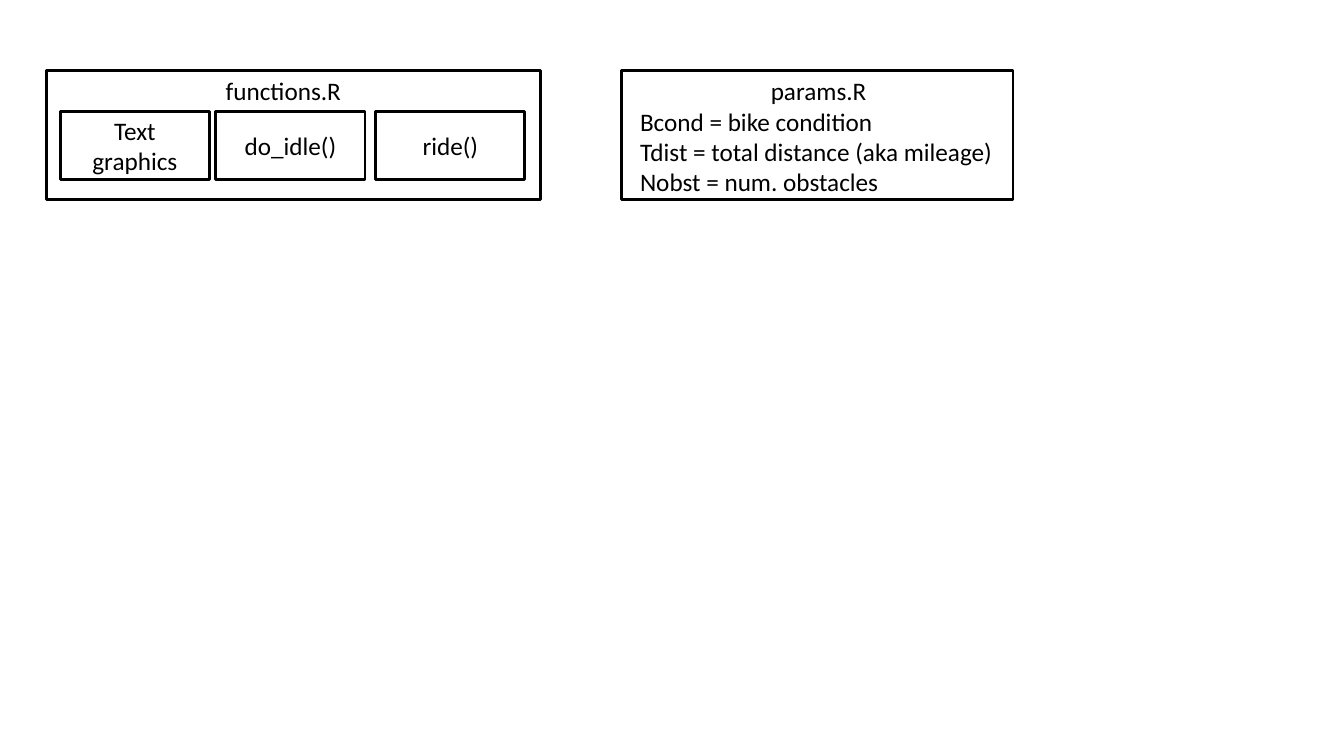
"""Build a slide outlining the contents of two R source files."""
from dataclasses import dataclass

from pptx import Presentation
from pptx.dml.color import RGBColor
from pptx.enum.shapes import MSO_SHAPE
from pptx.enum.text import MSO_ANCHOR, MSO_AUTO_SIZE, PP_ALIGN
from pptx.util import Cm, Pt

RECTANGLE = MSO_SHAPE.RECTANGLE
MIDDLE = MSO_ANCHOR.MIDDLE
GROW = MSO_AUTO_SIZE.SHAPE_TO_FIT_TEXT
LEFT, CENTER = PP_ALIGN.LEFT, PP_ALIGN.CENTER


@dataclass(frozen=True)
class Theme:
    ink: RGBColor = RGBColor(0, 0, 0)
    font: str = "Calibri"
    size: Pt = Pt(18)
    line: Pt = Pt(2)


THEME = Theme()


def add_frame(group, left, top, width, height):
    """Add an unfilled, outlined rectangle measured in centimetres."""
    box = group.shapes.add_shape(RECTANGLE, Cm(left), Cm(top), Cm(width), Cm(height))
    box.shadow.inherit = False
    box.fill.background()
    box.line.color.rgb = THEME.ink
    box.line.width = THEME.line
    return box


def write_lines(box, lines):
    """Write (text, alignment) pairs as paragraphs of one run each."""
    frame = box.text_frame
    for index, (text, alignment) in enumerate(lines):
        para = frame.add_paragraph() if index else frame.paragraphs[0]
        para.alignment = alignment
        span = para.add_run()
        span.text = text
        span.font.name = THEME.font
        span.font.size = THEME.size
        span.font.color.rgb = THEME.ink


deck = Presentation()
deck.slide_width, deck.slide_height = Cm(33.87), Cm(19.05)
page = deck.slides.add_slide(deck.slide_layouts[6])

FILE_TOP, FILE_HEIGHT = 1.78, 3.25
functions_file = page.shapes.add_group_shape()
params_file = page.shapes.add_group_shape()

add_frame(functions_file, 1.17, FILE_TOP, 12.45, FILE_HEIGHT)
add_frame(params_file, 15.67, FILE_TOP, 9.86, FILE_HEIGHT)

for left, name in ((1.52, "Text graphics"), (5.44, "do_idle()"), (9.47, "ride()")):
    function_box = add_frame(functions_file, left, 2.82, 3.76, 1.7)
    function_box.text_frame.word_wrap = True
    function_box.text_frame.vertical_anchor = MIDDLE
    write_lines(function_box, [(name, CENTER)])

file_texts = (
    (functions_file, 5.44, 3.45, 1.03, [("functions.R", LEFT)]),
    (params_file, 15.88, 9.5, 3.33, [
        ("params.R", CENTER),
        ("Bcond = bike condition", LEFT),
        ("Tdist = total distance (aka mileage)", LEFT),
        ("Nobst = num. obstacles", LEFT),
    ]),
)
for group, left, width, height, lines in file_texts:
    label = group.shapes.add_textbox(Cm(left), Cm(FILE_TOP), Cm(width), Cm(height))
    label.text_frame.word_wrap = False
    label.text_frame.auto_size = GROW
    write_lines(label, lines)

deck.save("out.pptx")
